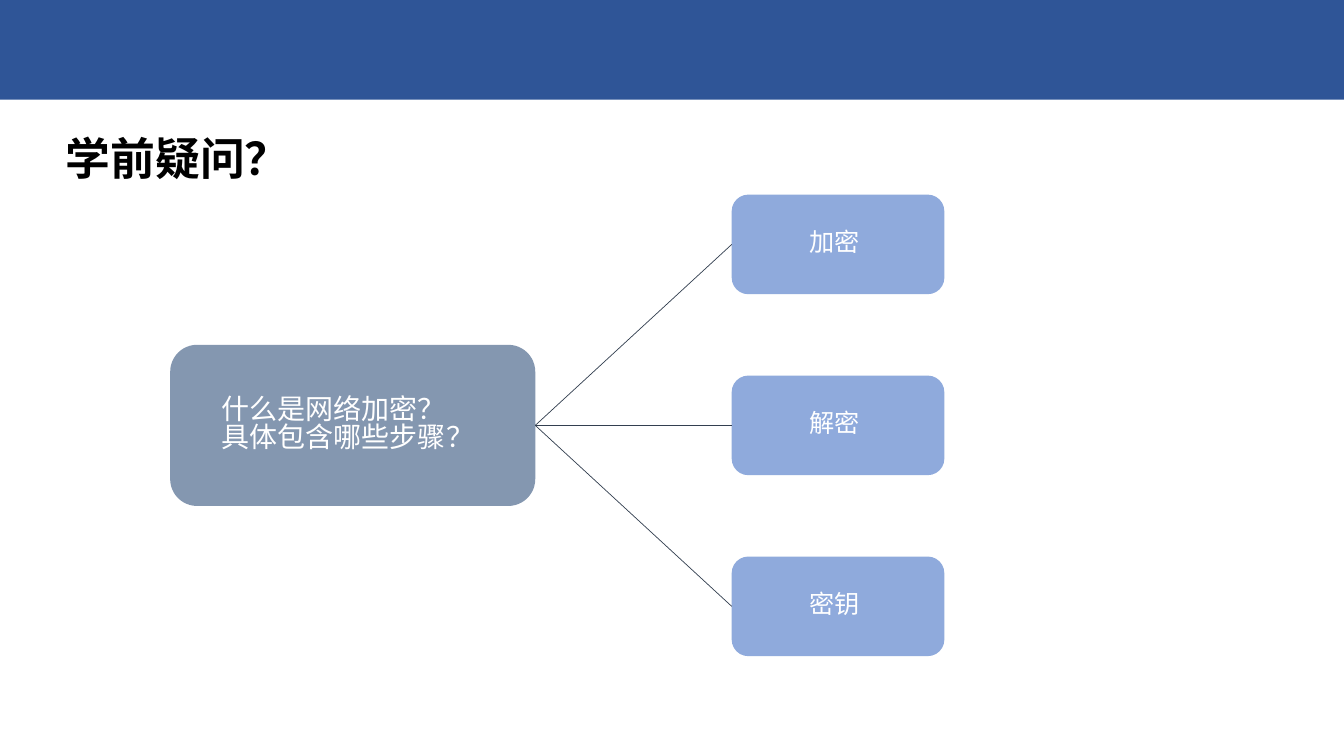
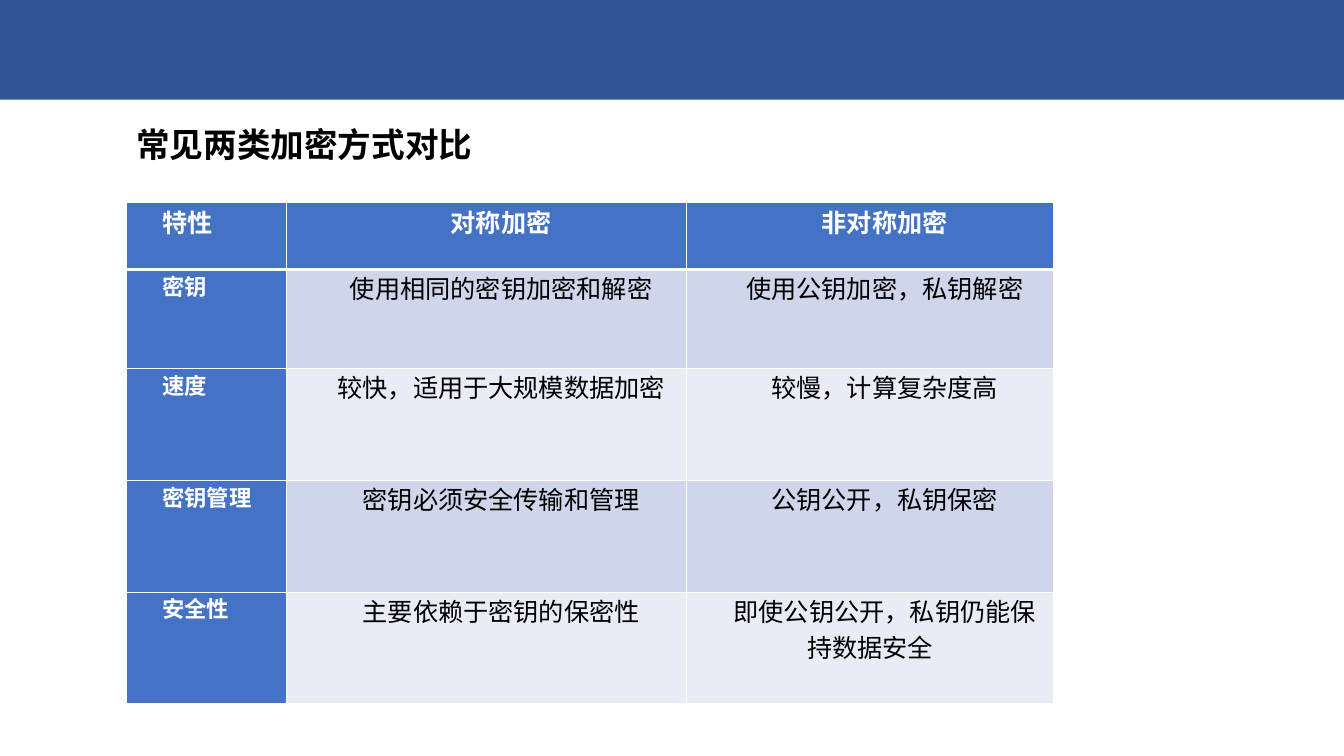
import pptx
import pptx.dml.color
import pptx.enum.shapes
import pptx.enum.text
import pptx.oxml
import pptx.oxml.ns
import pptx.util
from dataclasses import dataclass

Cm, Pt = pptx.util.Cm, pptx.util.Pt
PP_ALIGN, MSO_ANCHOR = pptx.enum.text.PP_ALIGN, pptx.enum.text.MSO_ANCHOR
MSO_SHAPE = pptx.enum.shapes.MSO_SHAPE
qn = pptx.oxml.ns.qn


@dataclass(frozen=True)
class Theme:
    font: str = "Noto Sans CJK SC"
    band: str = "2F5597"
    question: str = "8497B0"
    branch: str = "8FAADC"
    line: str = "333F50"
    header: str = "4472C4"
    stripes: tuple = ("CFD5EA", "E9EBF5")
    dark: str = "000000"
    light: str = "FFFFFF"
    question_size: int = 20
    body_size: int = 18
    row_head_size: int = 16
    line_spacing: float = 0.83


THEME = Theme()

# Lengths in centimetres
SLIDE_W, SLIDE_H, BAND_H = 33.87, 19.05, 2.51

QUESTION_TITLE = dict(text="学前疑问？", box=(1.4, 3.28, 14.6, 1.63), size=32)
QUESTION = "什么是网络加密？\n具体包含哪些步骤？"
QUESTION_BOX = (4.29, 8.69, 9.2, 4.06)
BRANCHES = ["加密", "解密", "密钥"]
BRANCH_X, BRANCH_W, BRANCH_H, BRANCH_PITCH = 18.44, 5.36, 2.51, 4.56

COMPARE_TITLE = dict(text="常见两类加密方式对比", box=(3.18, 3.07, 11, 1.27), size=24)
COMPARISON = [
    ("特性", "对称加密", "非对称加密"),
    ("密钥", "使用相同的密钥加密和解密", "使用公钥加密，私钥解密"),
    ("速度", "较快，适用于大规模数据加密", "较慢，计算复杂度高"),
    ("密钥管理", "密钥必须安全传输和管理", "公钥公开，私钥保密"),
    ("安全性", "主要依赖于密钥的保密性", "即使公钥公开，私钥仍能保持数据安全"),
]
TABLE_X, TABLE_Y = 3.18, 5.11
COL_WIDTHS = (4.04, 10.08, 9.25)
ROW_HEIGHTS = (1.68, 2.49, 2.82, 2.82, 2.82)
CELL_INSET, FIRST_LINE_INDENT = 0.17, 0.74


def rgb(color):
    return pptx.dml.color.RGBColor.from_string(color)


def style_paragraph(p, size, color, bold=False, align=PP_ALIGN.LEFT):
    p.alignment = align
    font = p.font
    font.size, font.bold, font.name = Pt(size), bold, THEME.font
    font.color.rgb = rgb(color)
    ea = pptx.oxml.parse_xml(
        f'<a:ea {pptx.oxml.ns.nsdecls("a")} typeface="{THEME.font}"/>')
    p._p.pPr.find(qn("a:defRPr")).find(qn("a:latin")).addnext(ea)


def add_box(slide, kind, box, fill):
    sp = slide.shapes.add_shape(kind, *map(Cm, box))
    sp.shadow.inherit = False
    sp.fill.solid()
    sp.fill.fore_color.rgb = rgb(fill)
    sp.line.fill.background()
    return sp


def add_label_box(slide, box, fill, text, size, inset):
    """Rounded box with left-aligned text starting at the given inset."""
    sp = add_box(slide, MSO_SHAPE.ROUNDED_RECTANGLE, box, fill)
    tf = sp.text_frame
    tf.text = text
    tf.margin_left, tf.margin_right = Cm(inset), 0
    tf.vertical_anchor = MSO_ANCHOR.MIDDLE
    for p in tf.paragraphs:
        p.line_spacing = THEME.line_spacing
        style_paragraph(p, size, THEME.light)
    return sp


def add_titled_slide(prs, text, box, size):
    """Title-only slide with the shared band and title style."""
    slide = prs.slides.add_slide(prs.slide_layouts[5])
    add_box(slide, MSO_SHAPE.RECTANGLE, (0, 0, SLIDE_W, BAND_H), THEME.band)
    title = slide.shapes.title
    title.left, title.top, title.width, title.height = map(Cm, box)
    tf = title.text_frame
    tf.text = text
    tf.auto_size = pptx.enum.text.MSO_AUTO_SIZE.NONE
    tf.vertical_anchor = MSO_ANCHOR.MIDDLE
    p = tf.paragraphs[0]
    p.line_spacing = THEME.line_spacing
    style_paragraph(p, size, THEME.dark, bold=True)
    return slide


def connect(slide, source, target):
    """Thin line from the right side of source to the left side of target."""
    line = slide.shapes.add_connector(
        pptx.enum.shapes.MSO_CONNECTOR.STRAIGHT, 0, 0, 0, 0)
    line.begin_connect(source, 3)
    line.end_connect(target, 1)
    line.line.width = Pt(0.5)
    line.line.color.rgb = rgb(THEME.line)
    line._element.spPr.append(pptx.oxml.parse_xml(
        f'<a:effectLst {pptx.oxml.ns.nsdecls("a")}/>'))


def build_question_slide(prs):
    slide = add_titled_slide(prs, **QUESTION_TITLE)
    question = add_label_box(slide, QUESTION_BOX, THEME.question, QUESTION,
                             THEME.question_size, 1.1)
    first_y = QUESTION_BOX[1] + QUESTION_BOX[3] / 2 - BRANCH_H / 2 - BRANCH_PITCH
    for i, name in enumerate(BRANCHES):
        box = (BRANCH_X, first_y + i * BRANCH_PITCH, BRANCH_W, BRANCH_H)
        branch = add_label_box(slide, box, THEME.branch, name,
                               THEME.body_size, 1.83)
        connect(slide, question, branch)


def set_borders(cell, **widths):
    """White cell borders; widths in points, keyed by side L, R, T, B."""
    tcPr = cell._tc.get_or_add_tcPr()
    for side, width in widths.items():
        tcPr.append(pptx.oxml.parse_xml(
            f'<a:ln{side} {pptx.oxml.ns.nsdecls("a")} w="{Pt(width)}">'
            f'<a:solidFill><a:srgbClr val="{THEME.light}"/></a:solidFill>'
            f'</a:ln{side}>'))


def format_cell(cell, row, col):
    heading = row == 0 or col == 0
    set_borders(cell, L=1, R=1, T=3 if row == 1 else 1, B=3 if row == 0 else 1)
    cell.fill.solid()
    cell.fill.fore_color.rgb = rgb(
        THEME.header if heading else THEME.stripes[(row - 1) % 2])
    cell.margin_left = cell.margin_right = Cm(CELL_INSET)
    cell.margin_top = cell.margin_bottom = 0
    cell.vertical_anchor = MSO_ANCHOR.TOP
    p = cell.text_frame.paragraphs[0]
    style_paragraph(
        p,
        THEME.row_head_size if row and not col else THEME.body_size,
        THEME.light if heading else THEME.dark,
        bold=heading,
        align=PP_ALIGN.CENTER if col else PP_ALIGN.LEFT)
    p._p.pPr.set("marL", "0")
    p._p.pPr.set("indent", str(Cm(FIRST_LINE_INDENT)))


def build_comparison_slide(prs):
    slide = add_titled_slide(prs, **COMPARE_TITLE)
    table = slide.shapes.add_table(
        len(ROW_HEIGHTS), len(COL_WIDTHS), Cm(TABLE_X), Cm(TABLE_Y),
        Cm(sum(COL_WIDTHS)), Cm(sum(ROW_HEIGHTS))).table
    table.first_col = True
    for column, width in zip(table.columns, COL_WIDTHS):
        column.width = Cm(width)
    for r, (height, texts) in enumerate(zip(ROW_HEIGHTS, COMPARISON)):
        table.rows[r].height = Cm(height)
        for c, text in enumerate(texts):
            cell = table.cell(r, c)
            cell.text = text
            format_cell(cell, r, c)


def main():
    prs = pptx.Presentation()
    prs.slide_width, prs.slide_height = Cm(SLIDE_W), Cm(SLIDE_H)
    build_question_slide(prs)
    build_comparison_slide(prs)
    prs.save("out.pptx")


if __name__ == "__main__":
    main()
